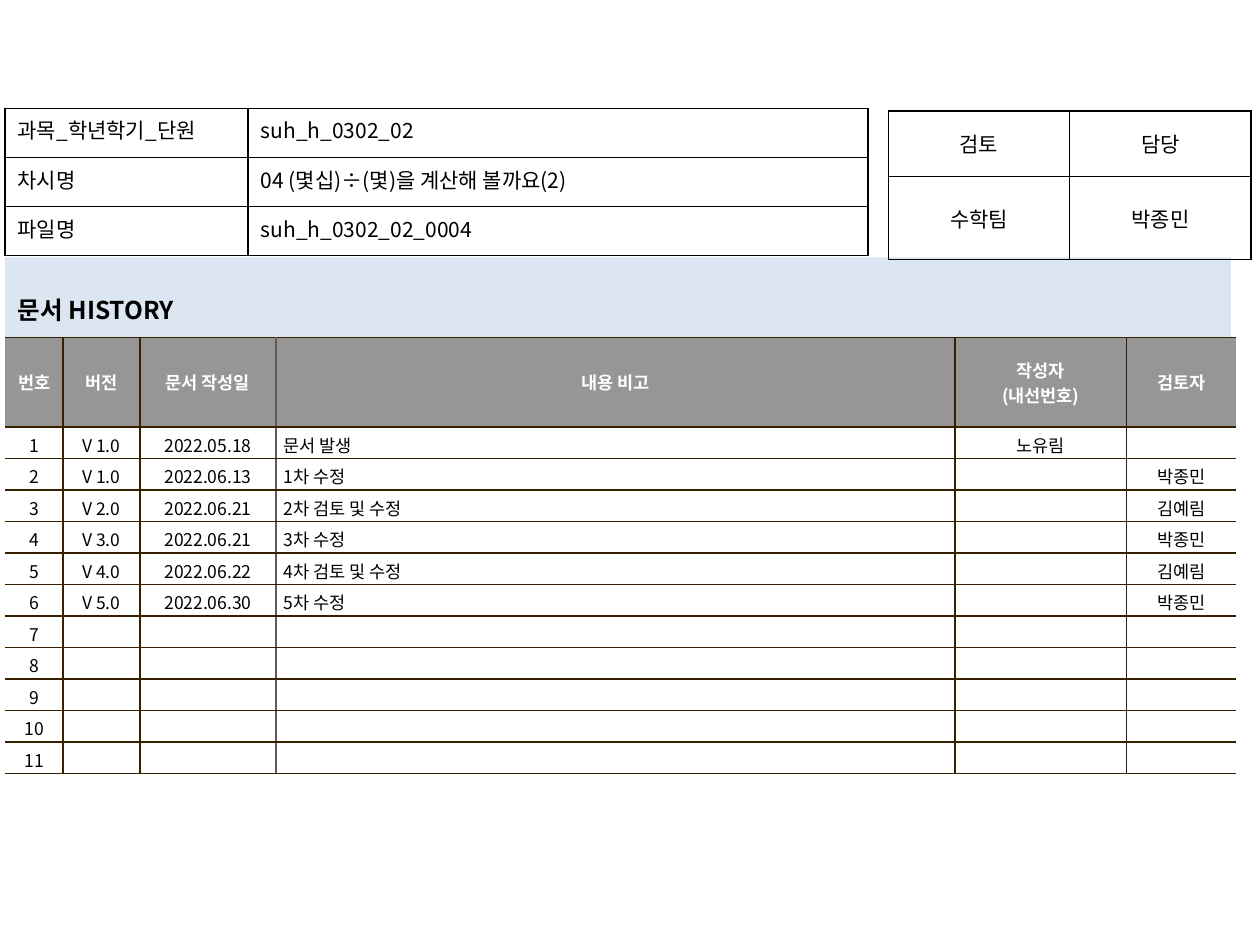
import lxml.etree
import pptx
import pptx.dml.color
import pptx.enum.text
import pptx.oxml.ns
import pptx.util

Inches = pptx.util.Inches
Pt = pptx.util.Pt
Align = pptx.enum.text.PP_ALIGN
Anchor = pptx.enum.text.MSO_ANCHOR
qn = pptx.oxml.ns.qn

FONT = "Noto Sans CJK KR"
COLORS = {
    "text": "000000",
    "white": "FFFFFF",
    "header": "969696",
    "banner": "DCE6F2",
    "rule": "362000",
    "soft_rule": "645B4C",
}


def write(frame, text, size, color, align, bold=False):
    """Put text in a frame, one paragraph per line, all in one format."""
    frame.text = text
    font_format = {"name": FONT, "size": Pt(size), "bold": bold}
    for paragraph in frame.paragraphs:
        paragraph.alignment = align
        for run in paragraph.runs:
            for attribute, value in font_format.items():
                setattr(run.font, attribute, value)
            run.font.color.rgb = pptx.dml.color.RGBColor.from_string(COLORS[color])
            east_asian = lxml.etree.SubElement(run.font._element, qn("a:ea"))
            east_asian.set("typeface", FONT)
        if not paragraph.runs:
            # Keeps an empty cell from growing to the default text size
            end = lxml.etree.SubElement(paragraph._p, qn("a:endParaRPr"))
            end.set("sz", str(size * 100))


def style_cell(cell, fill, borders, margins, anchor):
    """Set fill, margins and anchor; borders are colour names for L, R, T, B."""
    margin_x, margin_y = margins
    cell_format = {
        "margin_left": Inches(margin_x),
        "margin_right": Inches(margin_x),
        "margin_top": Inches(margin_y),
        "margin_bottom": Inches(margin_y),
        "vertical_anchor": anchor,
    }
    for attribute, value in cell_format.items():
        setattr(cell, attribute, value)
    if fill:
        cell.fill.solid()
        cell.fill.fore_color.rgb = pptx.dml.color.RGBColor.from_string(COLORS[fill])
    else:
        cell.fill.background()
    properties = cell._tc.get_or_add_tcPr()
    for position, (side, color) in enumerate(zip("LRTB", borders)):
        line = lxml.etree.Element(qn(f"a:ln{side}"), w=str(Pt(1)))
        if color:
            solid = lxml.etree.SubElement(line, qn("a:solidFill"))
            lxml.etree.SubElement(solid, qn("a:srgbClr"), val=COLORS[color])
        else:
            lxml.etree.SubElement(line, qn("a:noFill"))
        properties.insert(position, line)


presentation = pptx.Presentation()
presentation.slide_width = Inches(10)
presentation.slide_height = Inches(7.5)
slide = presentation.slides.add_slide(presentation.slide_layouts[5])

# Section banner
banner = slide.shapes.title
banner_place = {"left": 0.04, "top": 2.29, "width": 9.73, "height": 0.34}
for attribute, value in banner_place.items():
    setattr(banner, attribute, Inches(value))
banner.fill.solid()
banner.fill.fore_color.rgb = pptx.dml.color.RGBColor.from_string(COLORS["banner"])
write(banner.text_frame, "문서 HISTORY", 14, "text", Align.LEFT, bold=True)
banner.text_frame.vertical_anchor = Anchor.MIDDLE
banner.text_frame.auto_size = pptx.enum.text.MSO_AUTO_SIZE.SHAPE_TO_FIT_TEXT

# Table contents
history = [
    ["번호", "버전", "문서 작성일", "내용 비고", "작성자\n(내선번호)", "검토자"],
    ["1", "V 1.0", "2022.05.18", "문서 발생", "노유림", ""],
    ["2", "V 1.0", "2022.06.13", "1차 수정", "", "박종민"],
    ["3", "V 2.0", "2022.06.21", "2차 검토 및 수정", "", "김예림"],
    ["4", "V 3.0", "2022.06.21", "3차 수정", "", "박종민"],
    ["5", "V 4.0", "2022.06.22", "4차 검토 및 수정", "", "김예림"],
    ["6", "V 5.0", "2022.06.30", "5차 수정", "", "박종민"],
]
history += [[str(number), "", "", "", "", ""] for number in range(7, 12)]
review = [["검토", "담당"], ["수학팀", "박종민"]]
lesson = [
    ["과목_학년학기_단원", "suh_h_0302_02"],
    ["차시명", "04 (몇십)÷(몇)을 계산해 볼까요(2)"],
    ["파일명", "suh_h_0302_02_0004"],
]

# History is open at its sides, and the rule before the remarks is softer
history_rules = [None, "rule", "rule", "soft_rule", "rule", "rule", None]
centred = [Align.CENTER] * 6
history_aligns = centred[:3] + [Align.LEFT] + centred[4:]

# Content, left, top, column widths, row heights, text size, margins, anchor,
# vertical rules, horizontal rule, column alignments, header row
tables = [
    (history, 0.04, 2.68, [0.46, 0.61, 1.08, 5.39, 1.36, 0.87], [0.71] + [0.25] * 11,
     10, (0.06, 0.04), Anchor.MIDDLE, history_rules, "rule", history_aligns, True),
    (review, 7.05, 0.88, [1.44, 1.44], [0.52, 0.66],
     12, (0.1, 0.05), Anchor.MIDDLE, ["text"] * 3, "text", centred, False),
    (lesson, 0.04, 0.86, [1.93, 4.92], [0.39] * 3,
     12, (0.1, 0.05), Anchor.TOP, ["text"] * 3, "text", [Align.JUSTIFY, Align.LEFT], False),
]

for (content, left, top, widths, heights, size, margins, anchor,
     vertical_rules, horizontal_rule, aligns, has_header) in tables:
    table = slide.shapes.add_table(
        len(heights), len(widths), Inches(left), Inches(top),
        Inches(sum(widths)), Inches(sum(heights)),
    ).table
    table.first_row = has_header
    table.horz_banding = False
    for column, width in zip(table.columns, widths):
        column.width = Inches(width)
    for row, height in zip(table.rows, heights):
        row.height = Inches(height)

    for row_index, texts in enumerate(content):
        is_header = has_header and row_index == 0
        fill = "header" if is_header else "white" if has_header else None
        for column_index, text in enumerate(texts):
            cell = table.cell(row_index, column_index)
            borders = vertical_rules[column_index:column_index + 2] + [horizontal_rule] * 2
            style_cell(cell, fill, borders, margins, anchor)
            write(
                cell.text_frame, text, size, "white" if is_header else "text",
                Align.CENTER if is_header else aligns[column_index], bold=is_header,
            )

presentation.save("out.pptx")
